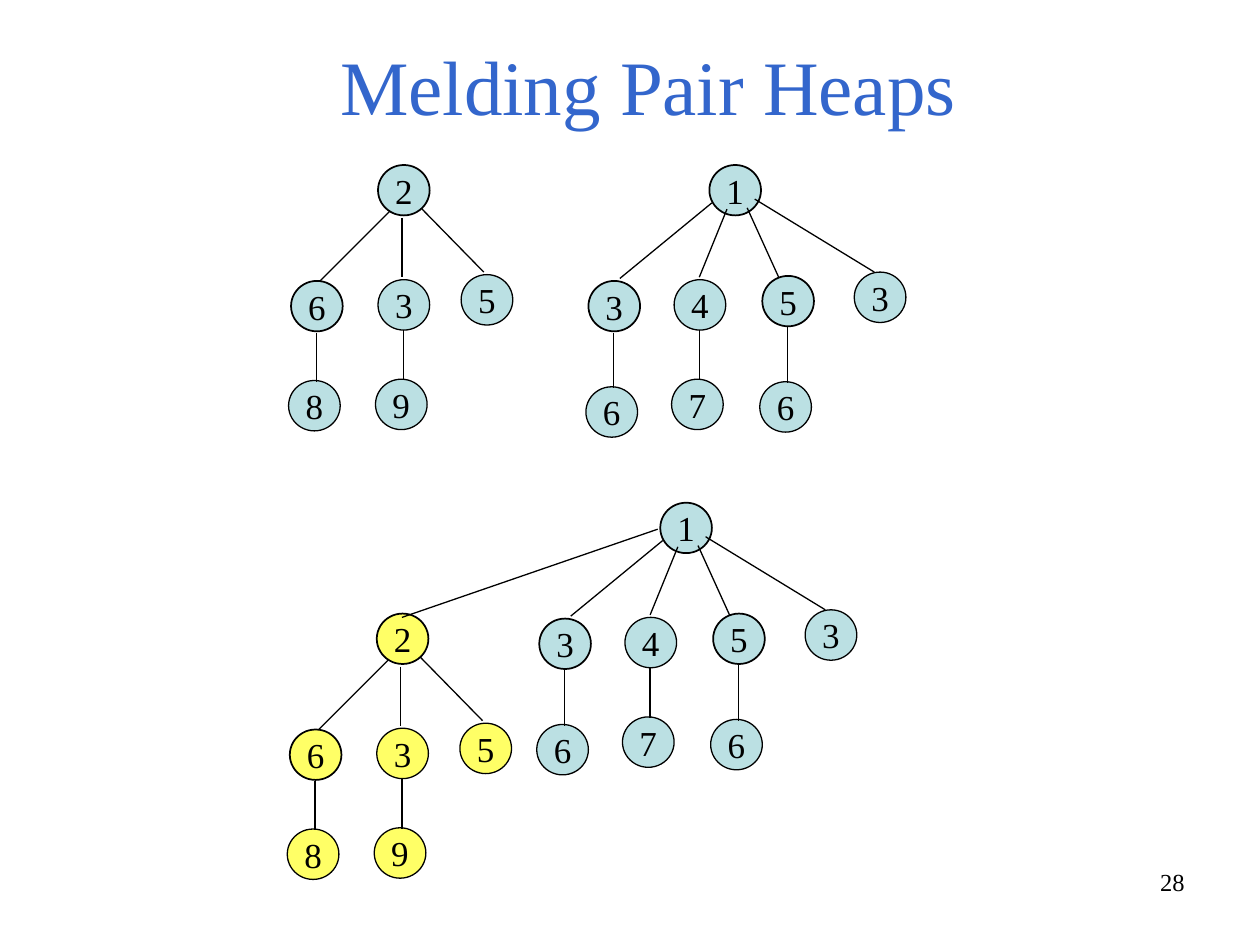
from dataclasses import dataclass
from pptx import Presentation
from pptx.dml.color import RGBColor
from pptx.enum.shapes import MSO_CONNECTOR, MSO_SHAPE
from pptx.enum.text import MSO_ANCHOR, PP_ALIGN
from pptx.oxml.ns import qn
from pptx.util import Inches, Pt

OVAL = MSO_SHAPE.OVAL
LINE = MSO_CONNECTOR.STRAIGHT
CENTER, RIGHT = PP_ALIGN.CENTER, PP_ALIGN.RIGHT
TOP, MIDDLE, BOTTOM = MSO_ANCHOR.TOP, MSO_ANCHOR.MIDDLE, MSO_ANCHOR.BOTTOM


@dataclass(frozen=True)
class Theme:
    font: str = "Times New Roman"
    ink: RGBColor = RGBColor(0x00, 0x00, 0x00)
    head: RGBColor = RGBColor(0x33, 0x66, 0xCC)
    teal: RGBColor = RGBColor(0xBB, 0xE0, 0xE3)
    gold: RGBColor = RGBColor(0xFF, 0xFF, 0x66)
    title: Pt = Pt(44)
    key: Pt = Pt(20)
    page: Pt = Pt(14)
    thin: Pt = Pt(0.75)
    bold: Pt = Pt(1)


theme = Theme()
deck = Presentation()
deck.slide_width, deck.slide_height = Inches(10), Inches(7.5)
slide = deck.slides.add_slide(deck.slide_layouts[6])
shapes = slide.shapes


def write(shape, text, size, color, align, anchor, wrap):
    frame = shape.text_frame
    frame.word_wrap = wrap
    frame.vertical_anchor = anchor
    para = frame.paragraphs[0]
    para.text = text
    para.alignment = align
    para.font.name = theme.font
    para.font.size = size
    para.font.color.rgb = color


def link(x1, y1, x2, y2):
    edge = shapes.add_connector(LINE, Inches(x1), Inches(y1), Inches(x2), Inches(y2))
    edge.line.color.rgb = theme.ink
    edge.line.width = theme.thin
    props = edge._element.spPr
    props.append(props.makeelement(qn("a:effectLst"), {}))


page = shapes.add_textbox(Inches(7.17), Inches(6.83), Inches(2.33), Inches(0.52))
write(page, "28", theme.page, theme.ink, RIGHT, TOP, True)
title = shapes.add_textbox(Inches(0.75), Inches(0.35), Inches(8.79), Inches(0.74))
write(title, "Melding Pair Heaps", theme.title, theme.head, CENTER, BOTTOM, True)

two = (
    [("6", 2.31, 2.23, theme.bold), ("8", 2.29, 3.02, theme.thin),
     ("2", 3, 1.31, theme.bold), ("3", 3, 2.22, theme.thin),
     ("9", 2.98, 3.01, theme.thin), ("5", 3.66, 2.18, theme.thin)],
    [(2.51, 2.64, 2.51, 3.03), (3.2, 2.62, 3.2, 3.02), (3.09, 1.68, 2.54, 2.23),
     (3.35, 1.66, 3.84, 2.16), (3.19, 1.73, 3.19, 2.2)],
)
one = (
    [("3", 4.67, 2.23, theme.bold), ("6", 4.65, 3.07, theme.thin),
     ("1", 5.63, 1.31, theme.bold), ("4", 5.35, 2.22, theme.thin),
     ("7", 5.33, 3.01, theme.thin), ("3", 6.78, 2.16, theme.thin),
     ("5", 6.05, 2.19, theme.bold), ("6", 6.03, 3.03, theme.thin)],
    [(4.87, 2.64, 4.87, 3.08), (5.55, 2.62, 5.55, 3.02), (5.65, 1.61, 4.92, 2.21),
     (5.99, 1.58, 6.94, 2.16), (6.25, 2.59, 6.25, 3.04), (5.93, 1.65, 6.18, 2.2),
     (5.77, 1.66, 5.55, 2.2)],
)
heaps = [
    (two, 0, 0, theme.teal),
    (one, 0, 0, theme.teal),
    (two, -0.01, 3.56, theme.gold),
    (one, -0.39, 2.68, theme.teal),
]

for (nodes, edges), dx, dy, fill in heaps:
    for key, x, y, width in nodes:
        node = shapes.add_shape(OVAL, Inches(x + dx), Inches(y + dy), Inches(0.41), Inches(0.4))
        node.shadow.inherit = False
        node.fill.solid()
        node.fill.fore_color.rgb = fill
        node.line.color.rgb = theme.ink
        node.line.width = width
        write(node, key, theme.key, theme.ink, CENTER, MIDDLE, False)
    for x1, y1, x2, y2 in edges:
        link(x1 + dx, y1 + dy, x2 + dx, y2 + dy)

link(5.22, 4.2, 3.19, 4.9)

deck.save("out.pptx")
